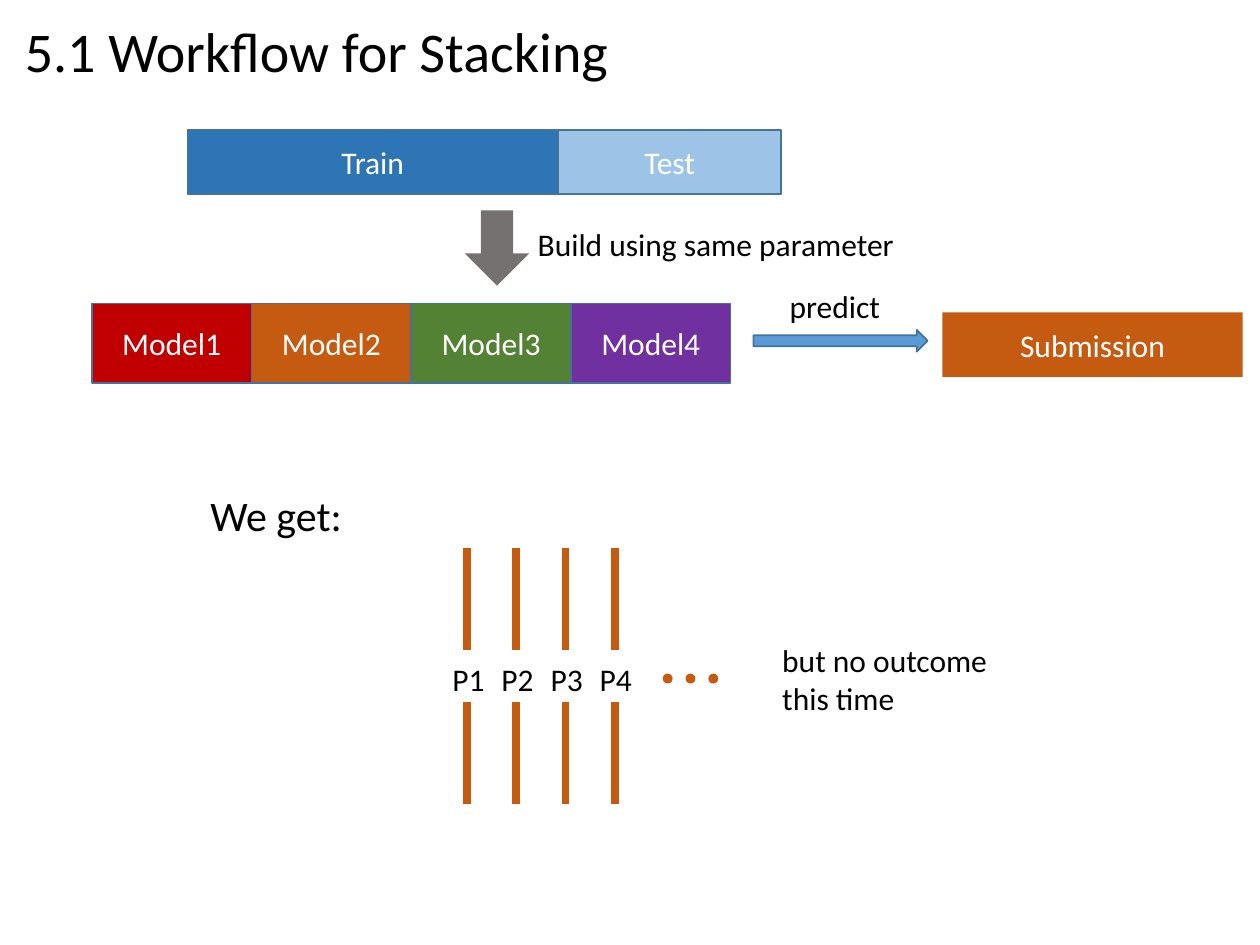
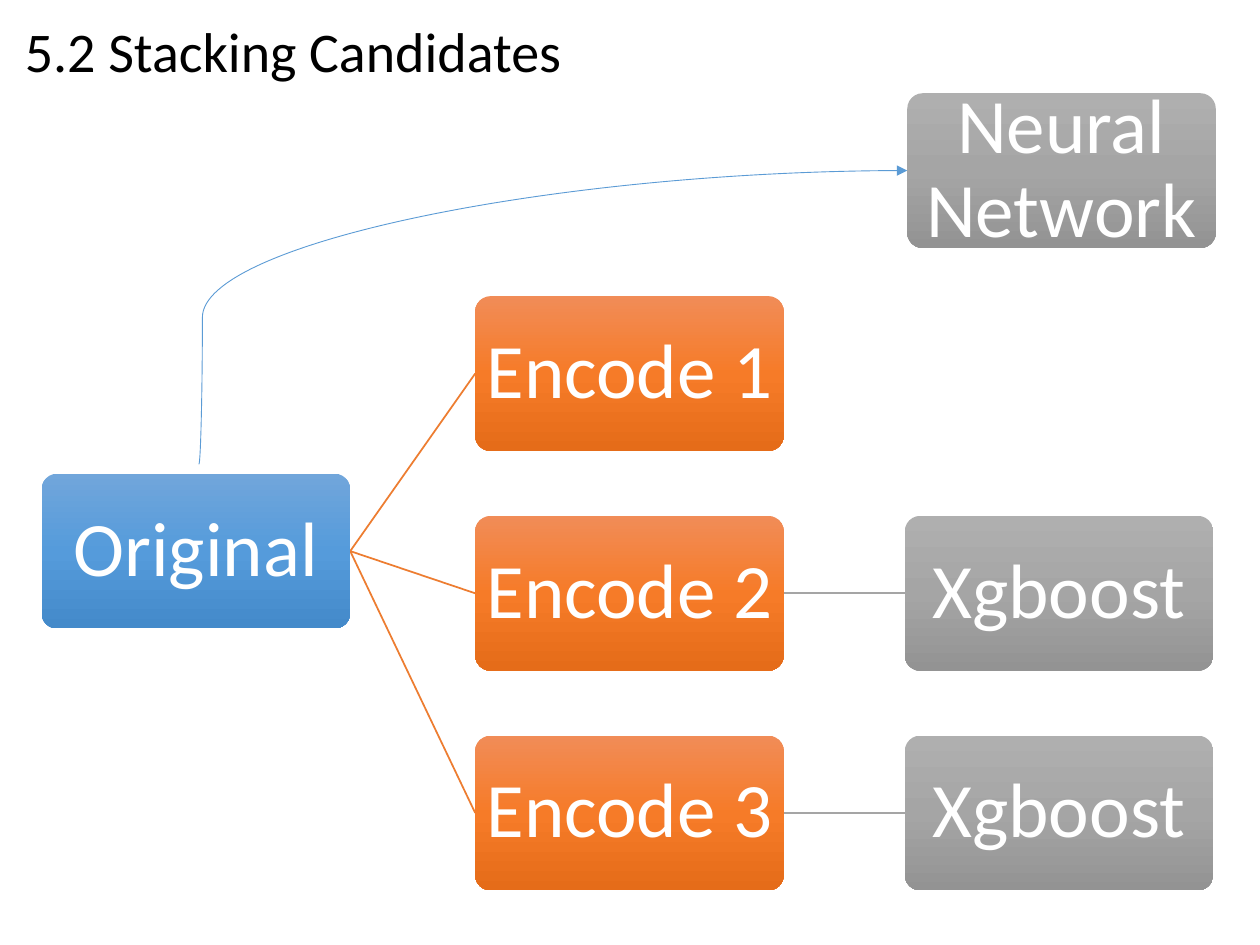
from copy import deepcopy
from typing import NamedTuple, Optional

from lxml import etree
from pptx import Presentation
from pptx.dml.color import RGBColor
from pptx.enum.shapes import MSO_CONNECTOR, MSO_SHAPE
from pptx.enum.text import MSO_ANCHOR, MSO_AUTO_SIZE, PP_ALIGN
from pptx.oxml.ns import qn
from pptx.shapes.autoshape import Shape
from pptx.shapes.connector import Connector
from pptx.slide import Slide
from pptx.util import Cm, Pt

RECT, ROUND_RECT, OVAL = MSO_SHAPE.RECTANGLE, MSO_SHAPE.ROUNDED_RECTANGLE, MSO_SHAPE.OVAL
DOWN_ARROW, RIGHT_ARROW = MSO_SHAPE.DOWN_ARROW, MSO_SHAPE.RIGHT_ARROW
STRAIGHT, CURVE = MSO_CONNECTOR.STRAIGHT, MSO_CONNECTOR.CURVE
MIDDLE, CENTER, FIT = MSO_ANCHOR.MIDDLE, PP_ALIGN.CENTER, MSO_AUTO_SIZE.SHAPE_TO_FIT_TEXT

FONT = "Calibri"
BLACK = RGBColor(0x00, 0x00, 0x00)
WHITE = RGBColor(0xFF, 0xFF, 0xFF)
OUTLINE = RGBColor(0x43, 0x73, 0x9E)
TRAIN_BLUE = RGBColor(0x2E, 0x75, 0xB6)
TEST_BLUE = RGBColor(0x9D, 0xC3, 0xE6)
ACCENT_BLUE = RGBColor(0x5B, 0x9B, 0xD5)
DARK_GREY = RGBColor(0x76, 0x71, 0x71)
RED = RGBColor(0xC0, 0x00, 0x00)
RUST = RGBColor(0xC5, 0x5A, 0x11)
GREEN = RGBColor(0x54, 0x82, 0x35)
PURPLE = RGBColor(0x70, 0x30, 0xA0)
ORANGE = RGBColor(0xED, 0x7D, 0x31)
GREY = RGBColor(0xA5, 0xA5, 0xA5)
BLUE_SHADES = (RGBColor(0x71, 0xA6, 0xDB), RGBColor(0x55, 0x9B, 0xDB), RGBColor(0x44, 0x8A, 0xCA))
ORANGE_SHADES = (RGBColor(0xF1, 0x8C, 0x57), RGBColor(0xF6, 0x7B, 0x28), RGBColor(0xE5, 0x6C, 0x19))
GREY_SHADES = (RGBColor(0xAF, 0xAF, 0xAF), GREY, RGBColor(0x93, 0x93, 0x93))

MODEL_LEFT, MODEL_WIDTH = 1.85, 3.22
PREDICTION_LEFT, PREDICTION_STEP = 9.42, 0.99
DOT_LEFT, DOT_STEP, DOT_SIZE = 13.36, 0.46, 0.2
CARD_WIDTH, CARD_HEIGHT = 6.22, 3.12
ORIGINAL_X, ENCODE_X, LEARNER_X = 0.84, 9.58, 18.24
ENCODE_TOP, ENCODE_STEP = 5.97, 4.43


class Block(NamedTuple):
    """A flat filled shape, measured in centimetres."""

    x: float
    y: float
    width: float
    height: float
    fill: RGBColor
    text: str = ""
    outline: Optional[RGBColor] = OUTLINE
    kind: MSO_SHAPE = RECT


class Label(NamedTuple):
    """A free-standing text, measured in centimetres."""

    x: float
    y: float
    width: float
    height: float
    text: str
    size: int = 18


class Card(NamedTuple):
    """A rounded node of the candidate tree."""

    x: float
    y: float
    text: str
    shades: tuple[RGBColor, ...]

    @property
    def middle(self) -> float:
        """Return the height of the card's centre."""
        return self.y + CARD_HEIGHT / 2

    @property
    def right(self) -> float:
        """Return the card's right edge."""
        return self.x + CARD_WIDTH


def write_text(s: Shape, text: str, size: int, color: RGBColor) -> None:
    """Put text into a shape and format every run."""
    tf = s.text_frame
    tf.text = text
    for p in tf.paragraphs:
        for r in p.runs:
            r.font.name, r.font.size = FONT, Pt(size)
            r.font.color.rgb = color


def center_text(s: Shape) -> None:
    """Centre the text of a shape both ways."""
    tf = s.text_frame
    tf.word_wrap = True
    tf.vertical_anchor = MIDDLE
    for p in tf.paragraphs:
        p.alignment = CENTER


def add_block(slide: Slide, block: Block) -> None:
    """Draw a flat block with its optional caption and outline."""
    s = slide.shapes.add_shape(
        block.kind, Cm(block.x), Cm(block.y), Cm(block.width), Cm(block.height))
    s.shadow.inherit = False
    s.fill.solid()
    s.fill.fore_color.rgb = block.fill
    if block.outline is None:
        s.line.fill.background()
    else:
        s.line.color.rgb = block.outline
        s.line.width = Pt(1)
    if block.text:
        write_text(s, block.text, 18, WHITE)
        center_text(s)


def add_label(slide: Slide, label: Label) -> None:
    """Draw an unwrapped black text."""
    s = slide.shapes.add_textbox(
        Cm(label.x), Cm(label.y), Cm(label.width), Cm(label.height))
    write_text(s, label.text, label.size, BLACK)
    s.text_frame.word_wrap = False
    s.text_frame.auto_size = FIT


def add_card(slide: Slide, card: Card) -> None:
    """Draw a rounded card with a three-stop vertical gradient."""
    s = slide.shapes.add_shape(
        ROUND_RECT, Cm(card.x), Cm(card.y), Cm(CARD_WIDTH), Cm(CARD_HEIGHT))
    s.adjustments[0] = 0.1
    s.shadow.inherit = False
    s.line.fill.background()
    s.fill.gradient()
    s.fill.gradient_angle = 270
    stop_list = s.element.spPr.find(".//" + qn("a:gsLst"))
    stop_list.insert(1, deepcopy(stop_list[0]))
    for stop, shade, position in zip(s.fill.gradient_stops, card.shades, (0, 0.5, 1)):
        stop.color.rgb = shade
        stop.position = position
    write_text(s, card.text, 44, WHITE)
    center_text(s)
    tf = s.text_frame
    tf.margin_left = tf.margin_right = tf.margin_top = tf.margin_bottom = Cm(0.08)
    tf.paragraphs[0].line_spacing = 0.9


def add_line(slide: Slide, start: tuple[float, float], end: tuple[float, float],
             color: RGBColor, width: float, kind: MSO_CONNECTOR = STRAIGHT) -> Connector:
    """Draw a connector without a shadow."""
    s = slide.shapes.add_connector(kind, *(Cm(v) for v in (*start, *end)))
    s.line.color.rgb = color
    s.line.width = Pt(width)
    etree.SubElement(s.element.spPr, qn("a:effectLst"))
    return s


def add_curved_arrow(slide: Slide, start: tuple[float, float], end: tuple[float, float]) -> None:
    """Draw a curved arrow that bends close to its start."""
    s = add_line(slide, start, end, ACCENT_BLUE, 0.5, CURVE)
    guides = s.element.spPr.find(".//" + qn("a:avLst"))
    etree.SubElement(guides, qn("a:gd"), name="adj1", fmla="val 500")
    line = s.element.spPr.find(qn("a:ln"))
    etree.SubElement(line, qn("a:tailEnd"), type="triangle")


def add_titled_slide(prs: Presentation, title: str, width: float) -> Slide:
    """Add a blank slide with the shared title style."""
    slide = prs.slides.add_slide(prs.slide_layouts[6])
    add_label(slide, Label(0.25, 0.2, width, 1.63, title, 32))
    return slide


def build_workflow(prs: Presentation) -> None:
    """Build the stacking workflow slide."""
    slide = add_titled_slide(prs, "5.1 Workflow for Stacking", 12.78)
    models = [
        Block(MODEL_LEFT + i * MODEL_WIDTH, 6.12, MODEL_WIDTH, 1.6, color, f"Model{i + 1}")
        for i, color in enumerate((RED, RUST, GREEN, PURPLE))
    ]
    dots = [
        Block(DOT_LEFT + i * DOT_STEP, 13.58, DOT_SIZE, DOT_SIZE, RUST, outline=None, kind=OVAL)
        for i in range(3)
    ]
    for block in (
        Block(3.78, 2.62, 7.47, 1.3, TRAIN_BLUE, "Train"),
        Block(11.25, 2.62, 4.5, 1.3, TEST_BLUE, "Test"),
        Block(9.37, 4.24, 1.3, 1.52, DARK_GREY, outline=None, kind=DOWN_ARROW),
        *models,
        Block(15.19, 6.65, 3.51, 0.44, ACCENT_BLUE, kind=RIGHT_ARROW),
        Block(19, 6.3, 6.05, 1.3, RUST, "Submission", outline=None),
        *dots,
    ):
        add_block(slide, block)
    for label in (
        Label(10.59, 4.42, 7.77, 1.02, "Build using same parameter"),
        Label(15.67, 5.66, 2.36, 1.02, "predict"),
        Label(3.99, 9.75, 3.3, 1.27, "We get:", 24),
        Label(15.52, 12.8, 4.7, 1.8, "but no outcome\nthis time"),
    ):
        add_label(slide, label)
    for i in range(4):
        x = PREDICTION_LEFT + i * PREDICTION_STEP
        for top, bottom in ((11.05, 13.11), (14.15, 16.21)):
            add_line(slide, (x, top), (x, bottom), RUST, 4.5)
        add_label(slide, Label(x - 0.55, 13.19, 1.17, 1.02, f"P{i + 1}"))


def build_candidates(prs: Presentation) -> None:
    """Build the stacking candidates slide."""
    slide = add_titled_slide(prs, "5.2 Stacking Candidates", 12.09)
    original = Card(ORIGINAL_X, 9.55, "Original", BLUE_SHADES)
    encodes = [
        Card(ENCODE_X, ENCODE_TOP + i * ENCODE_STEP, f"Encode {i + 1}", ORANGE_SHADES)
        for i in range(3)
    ]
    learners = [Card(LEARNER_X, encode.y, "Xgboost", GREY_SHADES) for encode in encodes[1:]]
    network = Card(18.29, 1.88, "Neural Network", GREY_SHADES)

    links = [(original, encode, ORANGE) for encode in encodes]
    links += [(encode, learner, GREY) for encode, learner in zip(encodes[1:], learners)]
    for source, target, color in links:
        add_line(slide, (source.right, source.middle), (target.x, target.middle), color, 1)
    for card in (original, *encodes, *learners, network):
        add_card(slide, card)
    add_curved_arrow(slide, (4.01, 9.36), (network.x, network.middle))


def main() -> None:
    """Build and save the presentation."""
    prs = Presentation()
    prs.slide_width, prs.slide_height = Cm(25.4), Cm(19.05)
    build_workflow(prs)
    build_candidates(prs)
    prs.save("out.pptx")


if __name__ == "__main__":
    main()
